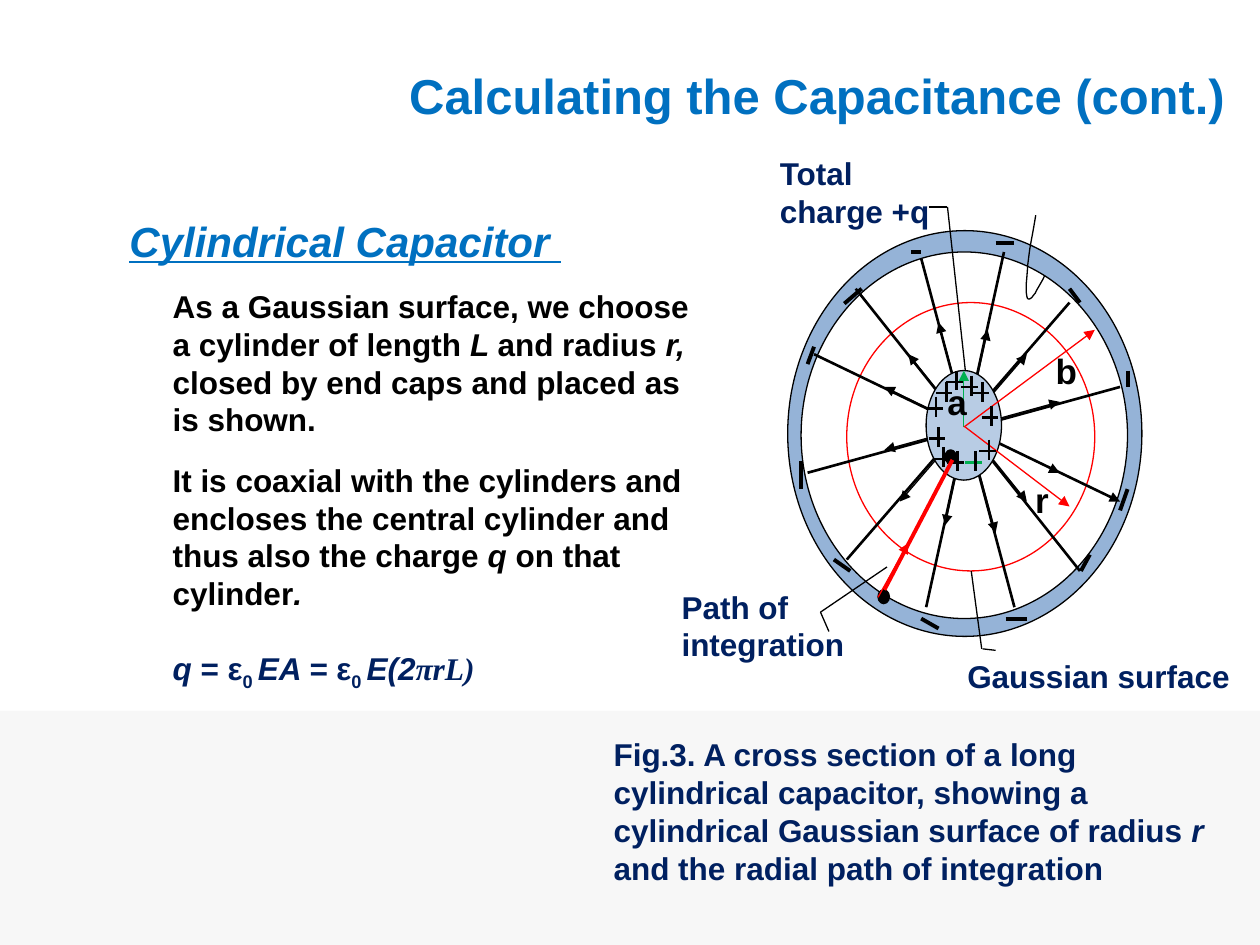
"""Builds the slide on the field and Gaussian surface of a cylindrical capacitor."""
from lxml import etree
from pptx import Presentation
from pptx import util as u
from pptx.dml.color import RGBColor
from pptx.enum import shapes, text
from pptx.oxml import ns

hue = RGBColor.from_string


def cm(*nums):
    return [u.Cm(round(n * 2.54, 2)) for n in nums]


def write(frame, size, paras, mid=False):
    frame.word_wrap = True
    frame.vertical_anchor = text.MSO_ANCHOR.MIDDLE if mid else text.MSO_ANCHOR.TOP
    for num, (gap, tint, runs) in enumerate(paras):
        para = frame.add_paragraph() if num else frame.paragraphs[0]
        para.space_before = u.Pt(gap)
        for words, style in runs:
            run = para.add_run()
            run.text = words
            font = run.font
            font.size, font.bold = u.Pt(size), True
            font.name = "Times New Roman" if "t" in style else "Arial"
            font.italic, font.underline = "i" in style, "u" in style
            font.color.rgb = hue(tint)
            if "s" in style:
                run._r.get_or_add_rPr().set("baseline", "-25000")


BLACK, RED, GREEN, BLUE, NAVY = "000000", "FF0000", "00B050", "0070C0", "002060"

deck = Presentation()
deck.slide_width, deck.slide_height = cm(10, 7.5)
slide = deck.slides.add_slide(deck.slide_layouts[5])
tree = slide.shapes

title = tree.title
title.left, title.top, title.width, title.height = cm(2.97, 0.47, 7.03, 0.57)
write(title.text_frame, 28, [(0, BLUE, [("Calculating the Capacitance (cont.)", "")])])
title.text_frame.paragraphs[0].alignment = text.PP_ALIGN.CENTER

band = tree.add_shape(shapes.MSO_SHAPE.RECTANGLE, *cm(0, 5.64, 10, 1.86))
band.shadow.inherit = False
band.fill.solid()
band.fill.fore_color.rgb = hue("F7F7F7")
band.line.fill.background()

rings = [
    (6.25, 1.83, 2.81, 3.22, "95B3D7", BLACK),
    (6.36, 2, 2.59, 2.91, "FFFFFF", BLACK),
    (6.72, 2.4, 1.97, 2.13, "FFFFFF", RED),
]
core = [(7.35, 2.94, 0.6, 0.87, "B8CCE4", BLACK)]
dots = [(x, y, 0.09, 0.11, BLACK, BLACK) for x, y in ((6.97, 4.68), (7.5, 3.57))]

spokes = [
    (7.31, 2.05, 8.05, 4.82), (6.41, 3.75, 8.89, 3.07), (7.37, 1.64, 7.52, 1.64),
    (6.79, 2.29, 8.57, 4.53), (7.35, 4.82, 7.97, 2), (6.72, 4.44, 8.49, 2.4),
]
ticks = [
    (6.41, 2.89, 6.46, 2.75), (6.7, 2.41, 6.84, 2.29), (6.36, 3.66, 6.36, 3.88),
    (6.62, 4.44, 6.75, 4.53), (7.31, 4.91, 7.45, 4.99), (7.98, 4.91, 8.15, 4.91),
    (8.58, 4.53, 8.65, 4.4), (8.95, 2.94, 8.95, 3.07), (8.49, 2.29, 8.57, 2.4),
    (7.9, 1.93, 8.05, 1.93), (7.23, 2, 7.31, 2), (8.89, 4.05, 8.95, 3.88),
]
field = [
    (7.84, 2.62, 7.5, 4.17), (8.41, 3.19, 7.02, 3.57), (7.45, 2.56, 7.9, 4.23),
    (7.21, 2.81, 8.15, 3.98), (7.02, 3.07, 8.41, 3.75), (8.15, 2.81, 7.14, 3.98),
]
pluses = [
    (7.72, 3.12), (7.37, 3.48), (7.79, 3.31), (7.77, 3.58), (7.52, 3.67),
    (7.41, 3.64), (7.63, 3.07), (7.51, 3.03), (7.43, 3.12), (7.35, 3.24),
]
bars = [(x, y, x + 0.13, y) for x, y in pluses]
stems = [(x + 0.08, y - 0.09, x + 0.08, y + 0.07) for x, y in pluses + [(7.66, 3.67)]]
leads = [
    (7.71, 4.53, 7.79, 5.15), (7.8, 5.15, 7.9, 5.16), (7.04, 4.5, 6.51, 4.86),
    (6.58, 5.01, 6.51, 4.86), (7.66, 2.94, 7.52, 1.64),
]

layers = [
    (rings, [
        (spokes, BLACK, 1.5, []),
        (ticks, BLACK, 2.25, []),
        ([(6.46, 2.81, 8.89, 3.98)], BLACK, 1.5, ["tailEnd"]),
        (field, BLACK, 0.75, ["headEnd", "tailEnd"]),
    ]),
    (core, [
        ([(7.65, 3.39, 7.65, 2.94)], GREEN, 0.75, ["tailEnd"]),
        ([(7.66, 3.39, 8.49, 4.02), (7.65, 3.39, 8.69, 2.62)], RED, 0.75, ["tailEnd"]),
        (bars, BLACK, 1.5, []),
        ([(7.66, 3.67, 7.79, 3.67)], GREEN, 1.5, []),
        (stems, BLACK, 1.5, []),
        (leads, BLACK, 0.75, []),
    ]),
    (dots, [
        ([(7.02, 4.68, 7.56, 3.65)], RED, 2.25, []),
        ([(6.97, 4.74, 7.21, 4.31)], RED, 0.75, ["tailEnd"]),
    ]),
]
for ovals, sets in layers:
    for *box, fill, edge in ovals:
        oval = tree.add_shape(shapes.MSO_SHAPE.OVAL, *cm(*box))
        oval.shadow.inherit = False
        oval.fill.solid()
        oval.fill.fore_color.rgb = hue(fill)
        oval.line.color.rgb = hue(edge)
        oval.line.width = u.Pt(0.75)
    for lines, tint, width, ends in sets:
        for ray in lines:
            line = tree.add_connector(shapes.MSO_CONNECTOR.STRAIGHT, *cm(*ray))
            line.line.color.rgb = hue(tint)
            line.line.width = u.Pt(width)
            for end in ends:
                etree.SubElement(line.line._get_or_add_ln(), ns.qn("a:" + end), type="triangle")
            etree.SubElement(line._element.spPr, ns.qn("a:effectLst"))

bends = [
    ((8.29, 2.19), (8.23, 2.31), (8.16, 2.43), (8.15, 2.35)),
    ((8.15, 2.35), (8.13, 2.26), (8.17, 1.98), (8.22, 1.71)),
]
dots = []
for bend in bends:
    for step in range(1, 13):
        t = step / 12
        parts = ((1 - t) ** 3, 3 * t * (1 - t) ** 2, 3 * t * t * (1 - t), t ** 3)
        dots.append(cm(*(sum(p * k[axis] for p, k in zip(parts, bend)) for axis in (0, 1))))
pen = tree.build_freeform(*cm(*bends[0][0]))
pen.add_line_segments(dots, close=False)
hook = pen.convert_to_shape()
hook.shadow.inherit = False
hook.fill.background()
hook.line.color.rgb = hue(BLACK)
hook.line.width = u.Pt(0.75)

body = [
    (0, BLACK, [
        ("As a Gaussian surface, we choose a cylinder of length ", ""), ("L ", "i"),
        ("and radius", ""), (" r, ", "i"), ("closed by end caps and placed as is shown.", ""),
    ]),
    (13, BLACK, [
        ("It is coaxial with the cylinders and encloses the central cylinder and thus also the charge ", ""),
        ("q ", "i"), ("on that cylinder", ""), (".", "i"),
    ]),
    (21, NAVY, [
        ("q", "i"), (" = ε", ""), ("0 ", "s"), ("EA = ", "i"), ("ε", ""),
        ("0 ", "s"), ("E(2", "i"), ("πrL)", "it"),
    ]),
]
note = [
    ("Fig.3. A cross section of a long cylindrical capacitor, showing a cylindrical Gaussian surface of radius ", ""),
    ("r", "i"), (" and the radial path of integration", ""),
]
texts = [
    ((0.93, 1.66, 3.74, 0.51), 24, [(0, BLUE, [("Cylindrical Capacitor ", "iu")])], False),
    ((1.27, 2.23, 4.44, 3.32), 18, body, False),
    ((6.09, 1.17, 1.41, 0.71), 18, [(0, NAVY, [("Total charge +q", "")])], True),
    ((7.58, 5.16, 2.42, 0.4), 18, [(0, NAVY, [("Gaussian surface", "")])], True),
    ((5.31, 4.61, 1.56, 0.71), 18, [(0, NAVY, [("Path of integration", "")])], True),
    ((4.77, 5.78, 4.92, 1.31), 18, [(0, NAVY, note)], True),
    ((8.12, 3.75, 0.39, 0.44), 20, [(0, BLACK, [("r", "")])], False),
    ((7.42, 2.97, 0.36, 0.44), 20, [(0, BLACK, [("a", "")])], False),
    ((8.28, 2.73, 0.45, 0.44), 20, [(0, BLACK, [("b", "")])], False),
]
for box, size, paras, mid in texts:
    write(tree.add_textbox(*cm(*box)).text_frame, size, paras, mid)

deck.save("out.pptx")
